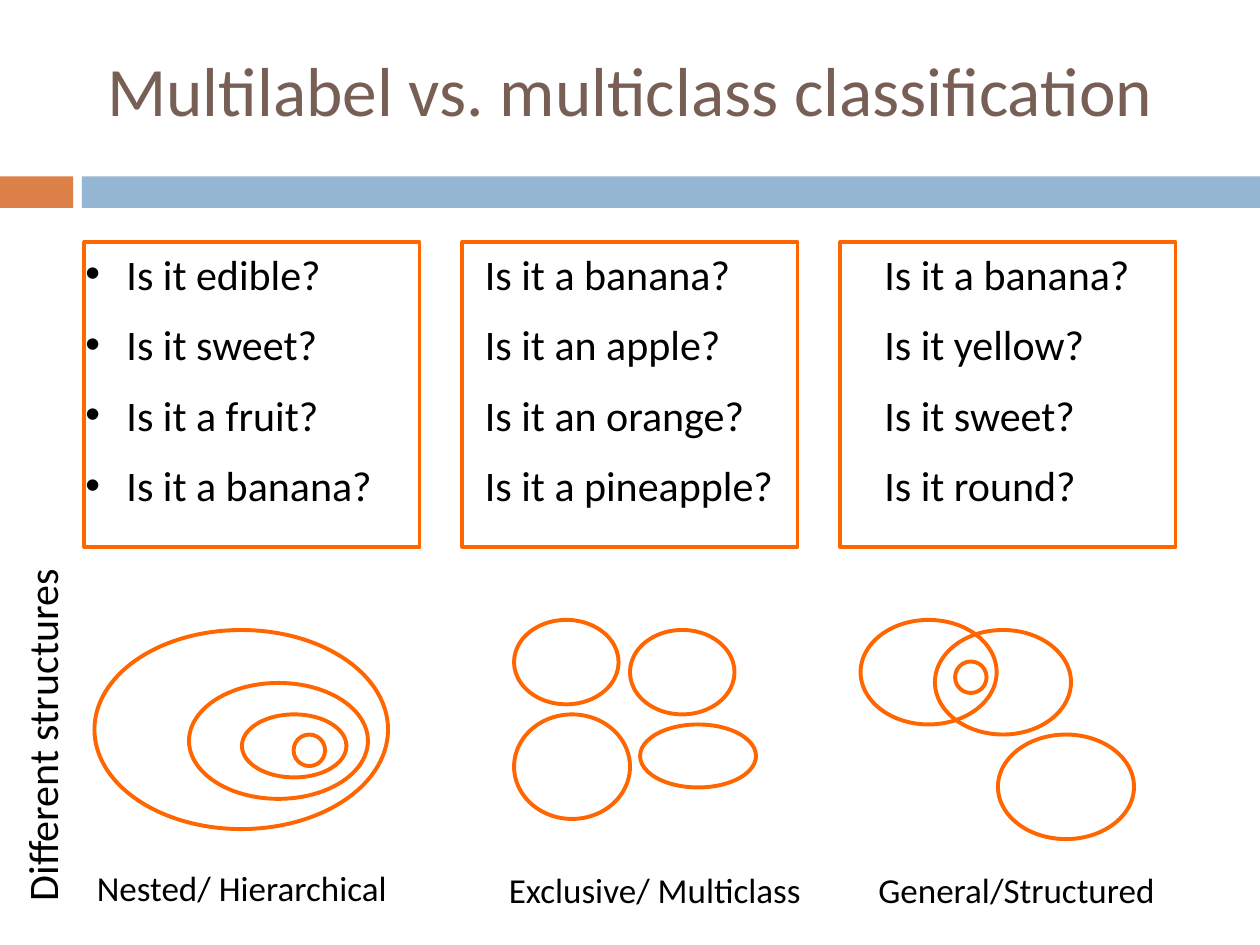
from pptx import Presentation
from pptx.dml.color import RGBColor
from pptx.enum.shapes import MSO_SHAPE
from pptx.enum.text import MSO_ANCHOR, PP_ALIGN
from pptx.oxml.ns import qn
from pptx.util import Inches, Pt
from lxml.etree import SubElement

ORANGE = RGBColor(0xFF, 0x66, 0x00)
RUST = RGBColor(0xDD, 0x80, 0x47)
BLUE = RGBColor(0x94, 0xB6, 0xD2)
BROWN = RGBColor(0x77, 0x5F, 0x55)
BLACK = RGBColor(0, 0, 0)

presentation = Presentation()
presentation.slide_width = Inches(10)
presentation.slide_height = Inches(7.5)
slide = presentation.slides.add_slide(presentation.slide_layouts[6])


def add_shape(shapes, kind, bounds, fill=None, line=None):
    shape = shapes.add_shape(kind, *[Inches(value) for value in bounds])
    shape.shadow.inherit = False
    if fill is None:
        shape.fill.background()
    else:
        shape.fill.solid()
        shape.fill.fore_color.rgb = fill
    if line is None:
        shape.line.fill.background()
    else:
        shape.line.color.rgb = line
        shape.line.width = Pt(2.25)


def add_text(lines, bounds, size=24, color=BLACK, align=PP_ALIGN.LEFT,
             anchor=MSO_ANCHOR.TOP, rotation=0, bullet=False):
    box = slide.shapes.add_textbox(*[Inches(value) for value in bounds])
    box.rotation = rotation
    frame = box.text_frame
    frame.word_wrap = True
    frame.vertical_anchor = anchor
    for index, line in enumerate(lines):
        paragraph = frame.paragraphs[0] if index == 0 else frame.add_paragraph()
        paragraph.alignment = align
        if index:
            paragraph.space_before = Pt(11.5)
        run = paragraph.add_run()
        run.text = line
        run.font.name = "Calibri"
        run.font.size = Pt(size)
        run.font.color.rgb = color
        if bullet:
            properties = paragraph._p.get_or_add_pPr()
            properties.set("marL", str(Inches(0.5)))
            properties.set("indent", str(Inches(-0.25)))
            SubElement(properties, qn("a:buFont")).set("typeface", "Arial")
            SubElement(properties, qn("a:buChar")).set("char", "•")


add_shape(slide.shapes, MSO_SHAPE.RECTANGLE, (0, 1.4, 0.58, 0.25), fill=RUST)
add_shape(slide.shapes, MSO_SHAPE.RECTANGLE, (0.65, 1.4, 9.35, 0.25), fill=BLUE)
add_text(["Multilabel vs. multiclass classification"], (0.75, 0.08, 8.5, 1.25),
         size=39.6, color=BROWN, align=PP_ALIGN.CENTER, anchor=MSO_ANCHOR.MIDDLE)

add_text([" Is it edible?", " Is it sweet?", " Is it a fruit?", " Is it a banana?"],
         (0.33, 1.92, 3.25, 2.32), bullet=True)
add_text(["Is it a banana?", "Is it an apple?", "Is it an orange?", "Is it a pineapple?"],
         (3.75, 1.92, 2.58, 2.3))
add_text(["Is it a banana?", "Is it yellow?", "Is it sweet?", "Is it round?"],
         (6.92, 1.92, 2.58, 2.3))

for column in range(3):
    add_shape(slide.shapes, MSO_SHAPE.RECTANGLE,
              (0.67 + 3 * column, 1.92, 2.66, 2.42), line=ORANGE)

nested_sets = [(1.5, 5.42, 1.42, 0.92), (0.75, 5, 2.33, 1.58),
               (1.92, 5.67, 0.83, 0.5), (2.33, 5.83, 0.25, 0.25)]
exclusive_sets = [(4.08, 4.92, 0.83, 0.67), (5, 5, 0.83, 0.67),
                  (4.08, 5.67, 0.92, 0.83), (5.08, 5.75, 0.92, 0.5)]
general_sets = [(6.83, 4.92, 1.08, 0.83), (7.42, 5, 1.08, 0.83),
                (7.92, 5.83, 1.08, 0.83), (7.58, 5.25, 0.25, 0.25)]

nested_group = slide.shapes.add_group_shape()
for bounds in nested_sets:
    add_shape(nested_group.shapes, MSO_SHAPE.OVAL, bounds, line=ORANGE)
for bounds in exclusive_sets + general_sets:
    add_shape(slide.shapes, MSO_SHAPE.OVAL, bounds, line=ORANGE)

add_text(["Different structures"], (-1.42, 5.25, 3.5, 0.5), rotation=270)
add_text(["Nested/ Hierarchical"], (0.67, 6.83, 3.08, 0.44), size=20)
add_text(["Exclusive/ Multiclass"], (3.94, 6.84, 3.5, 0.44), size=20)
add_text([" General/Structured"], (6.81, 6.84, 3.08, 0.44), size=20)

presentation.save("out.pptx")
